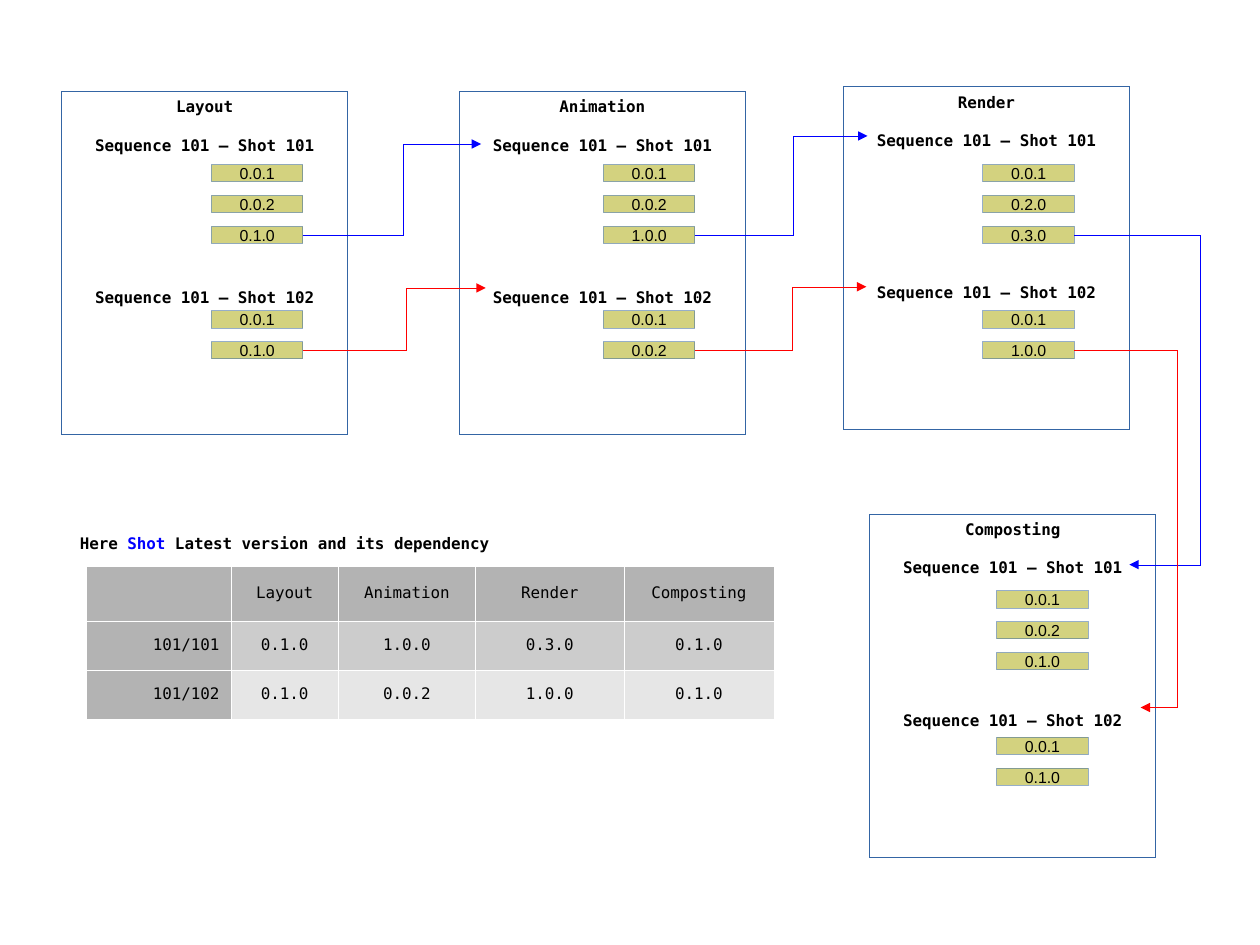
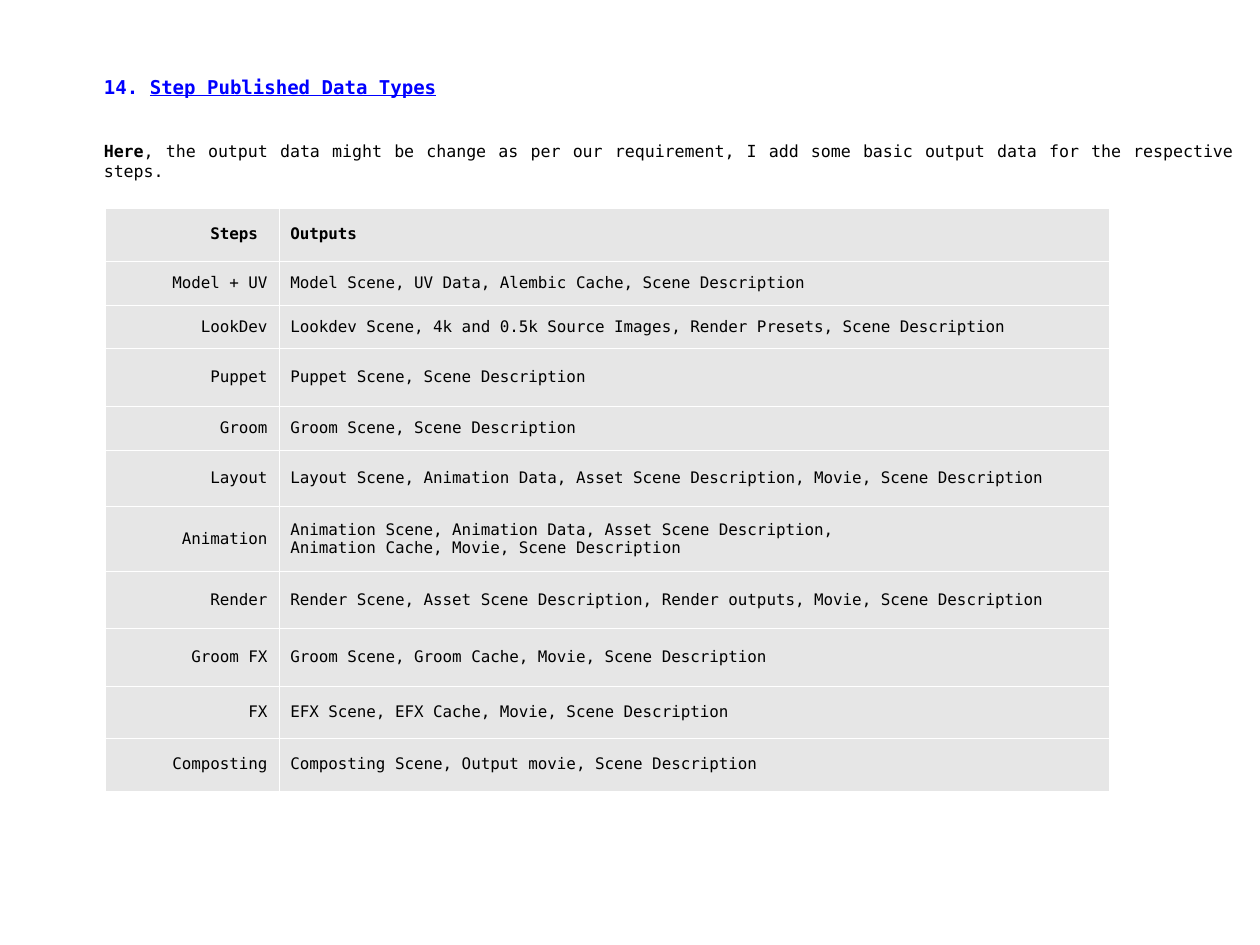
from lxml import etree
from pptx import Presentation
from pptx.dml.color import RGBColor
from pptx.enum.shapes import MSO_CONNECTOR, MSO_SHAPE
from pptx.enum.text import MSO_ANCHOR, MSO_AUTO_SIZE, PP_ALIGN
from pptx.oxml.ns import qn
from pptx.util import Cm, Inches, Pt

# Shared style
MONO, SANS = "DejaVu Sans Mono", "Arial"
BLACK = RGBColor(0x00, 0x00, 0x00)
WHITE = RGBColor(0xFF, 0xFF, 0xFF)
BLUE = RGBColor(0x00, 0x00, 0xFF)
RED = RGBColor(0xFF, 0x00, 0x00)
OUTLINE = RGBColor(0x34, 0x65, 0xA4)
OLIVE = RGBColor(0xA8, 0xA6, 0x00)
GRAY_DARK = RGBColor(0xB3, 0xB3, 0xB3)
GRAY_MID = RGBColor(0xCC, 0xCC, 0xCC)
GRAY_LIGHT = RGBColor(0xE6, 0xE6, 0xE6)
LEFT, CENTER, RIGHT = PP_ALIGN.LEFT, PP_ALIGN.CENTER, PP_ALIGN.RIGHT

# Slide 1 content: each panel has its place, chip column, first chip top and versions
SHOTS = ["Sequence 101 – Shot 101", "Sequence 101 – Shot 102"]
PANELS = [
    ("Layout", 0.54, 0.8, 1.85, 1.44, [["0.0.1", "0.0.2", "0.1.0"], ["0.0.1", "0.1.0"]]),
    ("Animation", 4.02, 0.8, 5.28, 1.44, [["0.0.1", "0.0.2", "1.0.0"], ["0.0.1", "0.0.2"]]),
    ("Render", 7.38, 0.76, 8.6, 1.44, [["0.0.1", "0.2.0", "0.3.0"], ["0.0.1", "1.0.0"]]),
    ("Composting", 7.61, 4.5, 8.72, 5.17, [["0.0.1", "0.0.2", "0.1.0"], ["0.0.1", "0.1.0"]]),
]
PANEL_WIDTH, PANEL_HEIGHT = 2.5, 3
CHIP_WIDTH, CHIP_HEIGHT, CHIP_STEP, SHOT_STEP = 0.8, 0.15, 0.27, 1.28

# Arrows leave the latest version of a shot: bend x, end x, end y, one per shot
ARROWS = {
    "Layout": [(3.53, 4.21, 1.26), (3.55, 4.25, 2.52)],
    "Animation": [(6.94, 7.59, 1.19), (6.93, 7.58, 2.51)],
    "Render": [(10.5, 9.88, 4.94), (10.3, 9.98, 6.19)],
}
SHOT_COLORS = [BLUE, RED]

CAPTION = [("Here ", {}), ("Shot", {"color": BLUE}),
           (" Latest version and its dependency", {})]
VERSIONS = [
    ["", "Layout", "Animation", "Render", "Composting"],
    ["101/101", "0.1.0", "1.0.0", "0.3.0", "0.1.0"],
    ["101/102", "0.1.0", "0.0.2", "1.0.0", "0.1.0"],
]
VERSION_FILLS = [GRAY_DARK, GRAY_MID, GRAY_LIGHT]

# Slide 2 content
TITLE = [("14. ", {}), ("Step Published Data Types", {"underline": True})]
INTRO = [("Here", {"bold": True}),
         (", the output data might be change as per our requirement, "
          "I add some basic output data for the respective steps.", {})]
OUTPUTS = [
    ("Steps ", "Outputs", 0.46),
    ("Model + UV", "Model Scene, UV Data, Alembic Cache, Scene Description", 0.39),
    ("LookDev", "Lookdev Scene, 4k and 0.5k Source Images, Render Presets, Scene Description", 0.38),
    ("Puppet", "Puppet Scene, Scene Description", 0.5),
    ("Groom", "Groom Scene, Scene Description", 0.39),
    ("Layout", "Layout Scene, Animation Data, Asset Scene Description, Movie, Scene Description", 0.49),
    ("Animation", ["Animation Scene, Animation Data, Asset Scene Description,",
                   "Animation Cache, Movie, Scene Description"], 0.57),
    ("Render", "Render Scene, Asset Scene Description, Render outputs, Movie, Scene Description", 0.5),
    ("Groom FX", "Groom Scene, Groom Cache, Movie, Scene Description", 0.5),
    ("FX", "EFX Scene, EFX Cache, Movie, Scene Description", 0.46),
    ("Composting", "Composting Scene, Output movie, Scene Description", 0.46),
]


def write_text(frame, paragraphs, align=LEFT, gaps=(), **style):
    """Each paragraph is a string or a list of (text, style changes) runs."""
    if isinstance(paragraphs, str):
        paragraphs = [paragraphs]
    for index, runs in enumerate(paragraphs):
        paragraph = frame.paragraphs[0] if index == 0 else frame.add_paragraph()
        paragraph.alignment = align
        if gaps:
            paragraph.space_before = Pt(gaps[index])
        for text, changes in [(runs, {})] if isinstance(runs, str) else runs:
            look = {"size": 10, "font": MONO, "color": BLACK, "bold": False,
                    "underline": False, **style, **changes}
            run = paragraph.add_run()
            run.text = text
            run.font.name, run.font.size = look["font"], Pt(look["size"])
            run.font.bold, run.font.underline = look["bold"], look["underline"]
            run.font.color.rgb = look["color"]


def add_text_box(slide, left, top, width, height, paragraphs, **style):
    frame = slide.shapes.add_textbox(*map(Inches, (left, top, width, height))).text_frame
    frame.word_wrap = True
    write_text(frame, paragraphs, **style)


def make_half_transparent(fill_parent):
    color = fill_parent.find(qn("a:solidFill"))[0]
    etree.SubElement(color, qn("a:alpha"), val="50000")


def set_hairline(shape, color):
    """Colour the outline; a zero width must be written out to override the theme."""
    shape.line.color.rgb = color
    outline = shape.element.spPr.find(qn("a:ln"))
    outline.set("w", "0")
    return outline


def add_box(slide, left, top, width, height, fill, paragraphs, anchor, **style):
    shape = slide.shapes.add_shape(
        MSO_SHAPE.RECTANGLE, *map(Inches, (left, top, width, height)))
    shape.shadow.inherit = False
    shape.fill.solid()
    shape.fill.fore_color.rgb = fill
    make_half_transparent(shape.element.spPr)
    shape.text_frame.word_wrap = False
    shape.text_frame.vertical_anchor = anchor
    write_text(shape.text_frame, paragraphs, align=CENTER, **style)
    return set_hairline(shape, OUTLINE)


def add_arrow(slide, start_x, start_y, bend_x, end_x, end_y, color):
    connector = slide.shapes.add_connector(
        MSO_CONNECTOR.ELBOW, *map(Inches, (start_x, start_y, end_x, end_y)))
    outline = set_hairline(connector, color)
    # Place the bend, add the arrowhead and remove the shadow
    properties = connector.element.spPr
    bend = round((bend_x - start_x) / (end_x - start_x) * 100000)
    guides = properties.find(qn("a:prstGeom")).find(qn("a:avLst"))
    etree.SubElement(guides, qn("a:gd"), name="adj1", fmla=f"val {bend}")
    etree.SubElement(outline, qn("a:tailEnd"), type="triangle")
    etree.SubElement(properties, qn("a:effectLst"))


def add_grid(slide, left, top, widths, heights):
    table = slide.shapes.add_table(
        len(heights), len(widths),
        *map(Inches, (left, top, sum(widths), sum(heights)))).table
    table.first_row = table.horz_banding = False
    for column, width in zip(table.columns, widths):
        column.width = Inches(width)
    for row, height in zip(table.rows, heights):
        row.height = Inches(height)
    return table


def fill_cell(cell, fill, paragraphs, **style):
    cell.fill.solid()
    cell.fill.fore_color.rgb = fill
    cell.vertical_anchor = MSO_ANCHOR.MIDDLE
    if paragraphs:
        write_text(cell.text_frame, paragraphs, **style)
    # Thin white borders stand before the fill
    properties = cell._tc.get_or_add_tcPr()
    for index, side in enumerate(("lnL", "lnR", "lnT", "lnB")):
        border = etree.Element(qn(f"a:{side}"), w=str(Pt(0.06)))
        solid = etree.SubElement(border, qn("a:solidFill"))
        etree.SubElement(solid, qn("a:srgbClr"), val=str(WHITE))
        properties.insert(index, border)


def build_versions_slide(presentation):
    slide = presentation.slides.add_slide(presentation.slide_layouts[6])

    # Version table and its caption
    table = add_grid(slide, 0.75, 4.95, [1.27, 0.94, 1.2, 1.3, 1.31], [0.48, 0.43, 0.43])
    for row, (values, row_fill) in enumerate(zip(VERSIONS, VERSION_FILLS)):
        for column, value in enumerate(values):
            is_label = column == 0
            fill_cell(table.cell(row, column), GRAY_DARK if is_label else row_fill,
                      value, align=RIGHT if is_label else CENTER)
    add_text_box(slide, 0.6, 4.62, 6.1, 0.27, [CAPTION], bold=True)

    # Panels with version chips
    arrows = []
    for name, left, top, chip_left, first_top, shots in PANELS:
        add_box(slide, left, top, PANEL_WIDTH, PANEL_HEIGHT, WHITE, [name, *SHOTS],
                MSO_ANCHOR.TOP, gaps=(0, 12, 84), bold=True)
        for shot, versions in enumerate(shots):
            for index, version in enumerate(versions):
                chip_top = first_top + shot * SHOT_STEP + index * CHIP_STEP
                chip_outline = add_box(slide, chip_left, chip_top, CHIP_WIDTH, CHIP_HEIGHT,
                                       OLIVE, version, MSO_ANCHOR.MIDDLE, font=SANS)
                make_half_transparent(chip_outline)
            if name in ARROWS:
                arrows.append((chip_left + CHIP_WIDTH, chip_top + CHIP_HEIGHT / 2,
                               *ARROWS[name][shot], SHOT_COLORS[shot]))

    # Dependencies between steps
    for arrow in arrows:
        add_arrow(slide, *arrow)


def build_outputs_slide(presentation):
    slide = presentation.slides.add_slide(presentation.slide_layouts[5])

    # Title and introduction
    title = slide.shapes.title
    title.left, title.top, title.width, title.height = map(Inches, (0.81, 0.61, 10.09, 0.35))
    title.text_frame.auto_size = MSO_AUTO_SIZE.NONE
    title.text_frame.vertical_anchor = MSO_ANCHOR.TOP
    write_text(title.text_frame, [TITLE], align=PP_ALIGN.JUSTIFY,
               size=12, color=BLUE, bold=True)
    add_text_box(slide, 0.81, 1.18, 10.09, 0.45, [INTRO], align=PP_ALIGN.JUSTIFY, size=10.5)

    # Outputs of each step
    table = add_grid(slide, 0.92, 1.82, [1.52, 7.26], [height for *_, height in OUTPUTS])
    for row, (step, outputs, _) in enumerate(OUTPUTS):
        fill_cell(table.cell(row, 0), GRAY_LIGHT, step, align=RIGHT, bold=row == 0)
        fill_cell(table.cell(row, 1), GRAY_LIGHT, outputs, bold=row == 0)


def main():
    presentation = Presentation()
    # The page is 28 by 21 cm
    presentation.slide_width, presentation.slide_height = Cm(28), Cm(21)
    build_versions_slide(presentation)
    build_outputs_slide(presentation)
    presentation.save("out.pptx")


if __name__ == "__main__":
    main()
